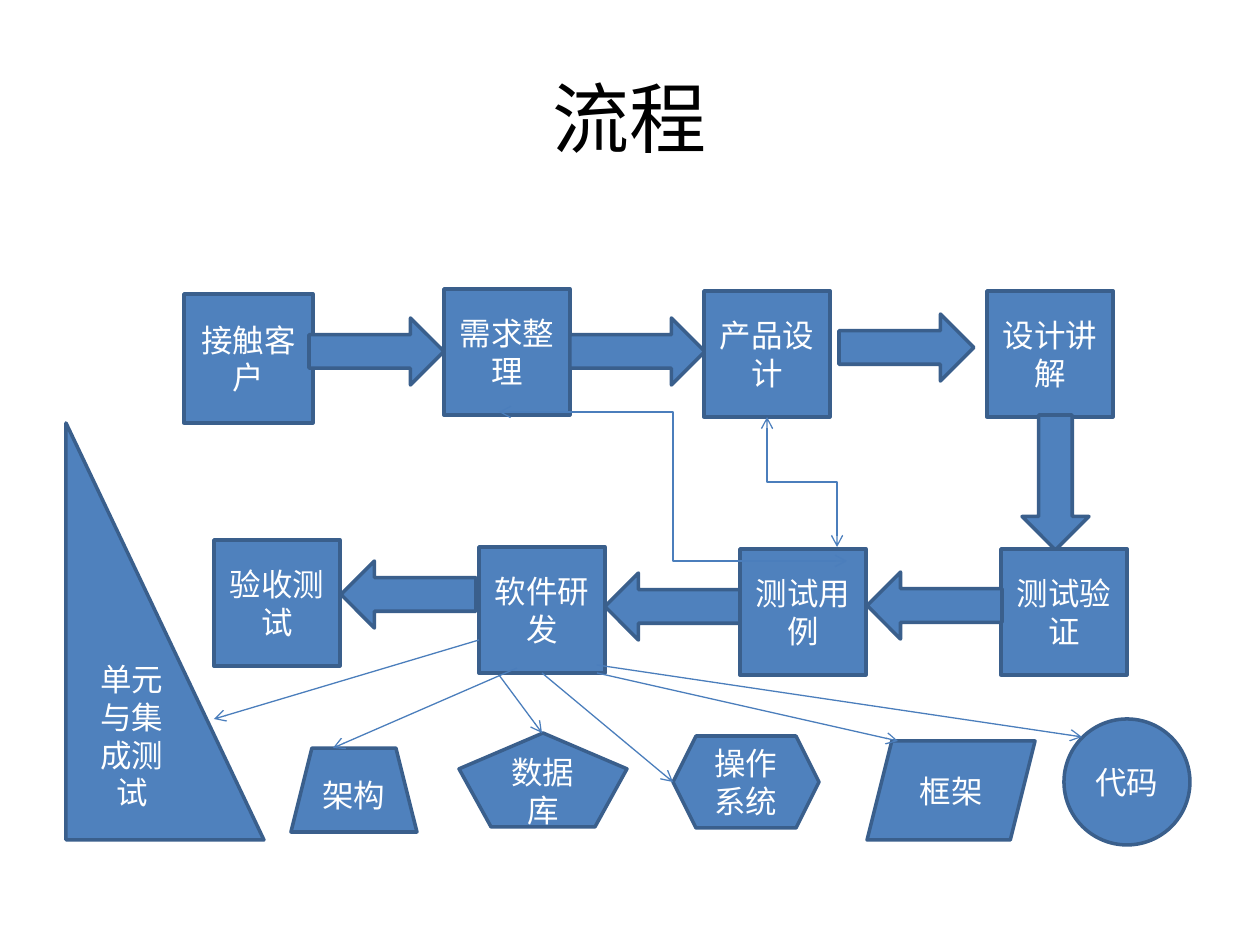
from dataclasses import dataclass

from lxml.etree import SubElement
from pptx import Presentation
from pptx.dml.color import RGBColor
from pptx.enum.shapes import MSO_CONNECTOR, MSO_SHAPE
from pptx.enum.text import MSO_ANCHOR, PP_ALIGN
from pptx.oxml.ns import qn
from pptx.util import Emu, Pt

SCALE = 914400 / 126
SIDE = 126
ARROW_LENGTH, ARROW_WIDTH = 135, 67
ACROSS = (ARROW_LENGTH, ARROW_WIDTH)
DOWN = (ARROW_WIDTH, ARROW_LENGTH)
SQUARE = (SIDE, SIDE)


@dataclass(frozen=True)
class Theme:
    font: str = "Calibri"
    title_size: int = 44
    body_size: int = 18
    border: float = 2
    thin: float = 0.75
    ink: RGBColor = RGBColor(0, 0, 0)
    light: RGBColor = RGBColor(255, 255, 255)
    fill: RGBColor = RGBColor.from_string("4F81BD")
    edge: RGBColor = RGBColor.from_string("3A5F8C")
    link: RGBColor = RGBColor.from_string("4B7EBC")


def px(*values):
    return [Emu(round(v * SCALE)) for v in values]


class Canvas:
    def __init__(self, slide, theme):
        self.slide = slide
        self.theme = theme

    def label(self, sp, text, size, color):
        tf = sp.text_frame
        tf.word_wrap = True
        tf.vertical_anchor = MSO_ANCHOR.MIDDLE
        tf.text = text
        p = tf.paragraphs[0]
        p.alignment = PP_ALIGN.CENTER
        for r in p.runs:
            r.font.name = self.theme.font
            r.font.size = Pt(size)
            r.font.color.rgb = color

    def title(self, text, x, y, w, h):
        sp = self.slide.shapes.add_textbox(*px(x, y, w, h))
        self.label(sp, text, self.theme.title_size, self.theme.ink)

    def shape(self, kind, text, x, y, w, h):
        sp = self.slide.shapes.add_shape(kind, *px(x, y, w, h))
        sp.shadow.inherit = False
        sp.fill.solid()
        sp.fill.fore_color.rgb = self.theme.fill
        sp.line.color.rgb = self.theme.edge
        sp.line.width = Pt(self.theme.border)
        if text:
            self.label(sp, text, self.theme.body_size, self.theme.light)
        return sp

    def connector(self, kind, start, end, ends=("tailEnd",)):
        cxn = self.slide.shapes.add_connector(kind, *px(*start, *end))
        cxn.line.color.rgb = self.theme.link
        cxn.line.width = Pt(self.theme.thin)
        sp_pr = cxn._element.spPr
        ln = sp_pr.find(qn("a:ln"))
        for tag in ends:
            SubElement(ln, qn(f"a:{tag}"), type="arrow")
        SubElement(sp_pr, qn("a:effectLst"))
        return cxn

    def line(self, start, end):
        return self.connector(MSO_CONNECTOR.STRAIGHT, start, end)

    def elbow(self, start, end):
        return self.connector(MSO_CONNECTOR.ELBOW, start, end, ("headEnd", "tailEnd"))

    def upright_elbow(self, start, end):
        (x1, y1), (x2, y2) = start, end
        cx, cy = (x1 + x2) / 2, (y1 + y2) / 2
        half_w, half_h = (y2 - y1) / 2, (x2 - x1) / 2
        cxn = self.elbow((cx + half_w, cy - half_h), (cx - half_w, cy + half_h))
        cxn._element.spPr.find(qn("a:xfrm")).set("rot", str(270 * 60000))


FLOW = [
    (MSO_SHAPE.RECTANGLE, "接触客户", (184, 294), (129, 129)),
    (MSO_SHAPE.RIGHT_ARROW, "", (309, 318), ACROSS),
    (MSO_SHAPE.RECTANGLE, "需求整理", (444, 289), SQUARE),
    (MSO_SHAPE.RIGHT_ARROW, "", (570, 318), ACROSS),
    (MSO_SHAPE.RECTANGLE, "产品设计", (704, 291), SQUARE),
    (MSO_SHAPE.RECTANGLE, "设计讲解", (987, 291), SQUARE),
    (MSO_SHAPE.RIGHT_ARROW, "", (839, 314), ACROSS),
    (MSO_SHAPE.DOWN_ARROW, "", (1022, 415), DOWN),
    (MSO_SHAPE.RECTANGLE, "测试验证", (1001, 549), SQUARE),
    (MSO_SHAPE.RECTANGLE, "测试用例", (740, 549), SQUARE),
    (MSO_SHAPE.LEFT_ARROW, "", (867, 572), ACROSS),
    (MSO_SHAPE.LEFT_ARROW, "", (605, 573), ACROSS),
    (MSO_SHAPE.RECTANGLE, "软件研发", (479, 547), SQUARE),
    (MSO_SHAPE.LEFT_ARROW, "", (341, 561), ACROSS),
    (MSO_SHAPE.RECTANGLE, "验收测试", (214, 540), SQUARE),
]

PARTS = [
    (MSO_SHAPE.TRAPEZOID, "架构", (291, 748), (126, 84)),
    (MSO_SHAPE.REGULAR_PENTAGON, "数据库", (459, 733), (168, 94)),
    (MSO_SHAPE.HEXAGON, "操作系统", (673, 736), (146, 92)),
    (MSO_SHAPE.PARALLELOGRAM, "框架", (867, 741), (168, 99)),
    (MSO_SHAPE.OVAL, "代码", (1064, 719), SQUARE),
]

PART_LINKS = [
    ((499, 675), (542, 733)),
    ((517, 668), (333, 748)),
    ((597, 673), (898, 741)),
    ((597, 665), (1082, 737)),
]


def main():
    prs = Presentation()
    prs.slide_width, prs.slide_height = px(1260, 945)
    s = Canvas(prs.slides.add_slide(prs.slide_layouts[6]), Theme())

    s.title("流程", 63, 38, 1134, 158)
    steps = {}
    for kind, text, at, size in FLOW:
        steps[text] = s.shape(kind, text, *at, *size)
    s.upright_elbow((767, 417), (837, 547))
    s.elbow((499, 412), (847, 561))

    for kind, text, at, size in PARTS:
        s.shape(kind, text, *at, *size)
    system_link = s.line((542, 673), (673, 782))
    system_link.begin_connect(steps["软件研发"], 2)
    for start, end in PART_LINKS:
        s.line(start, end)

    s.shape(MSO_SHAPE.RIGHT_TRIANGLE, "单元与集成测试", 66, 423, 198, 417)
    s.line((479, 640), (214, 719))
    prs.save("out.pptx")


if __name__ == "__main__":
    main()
